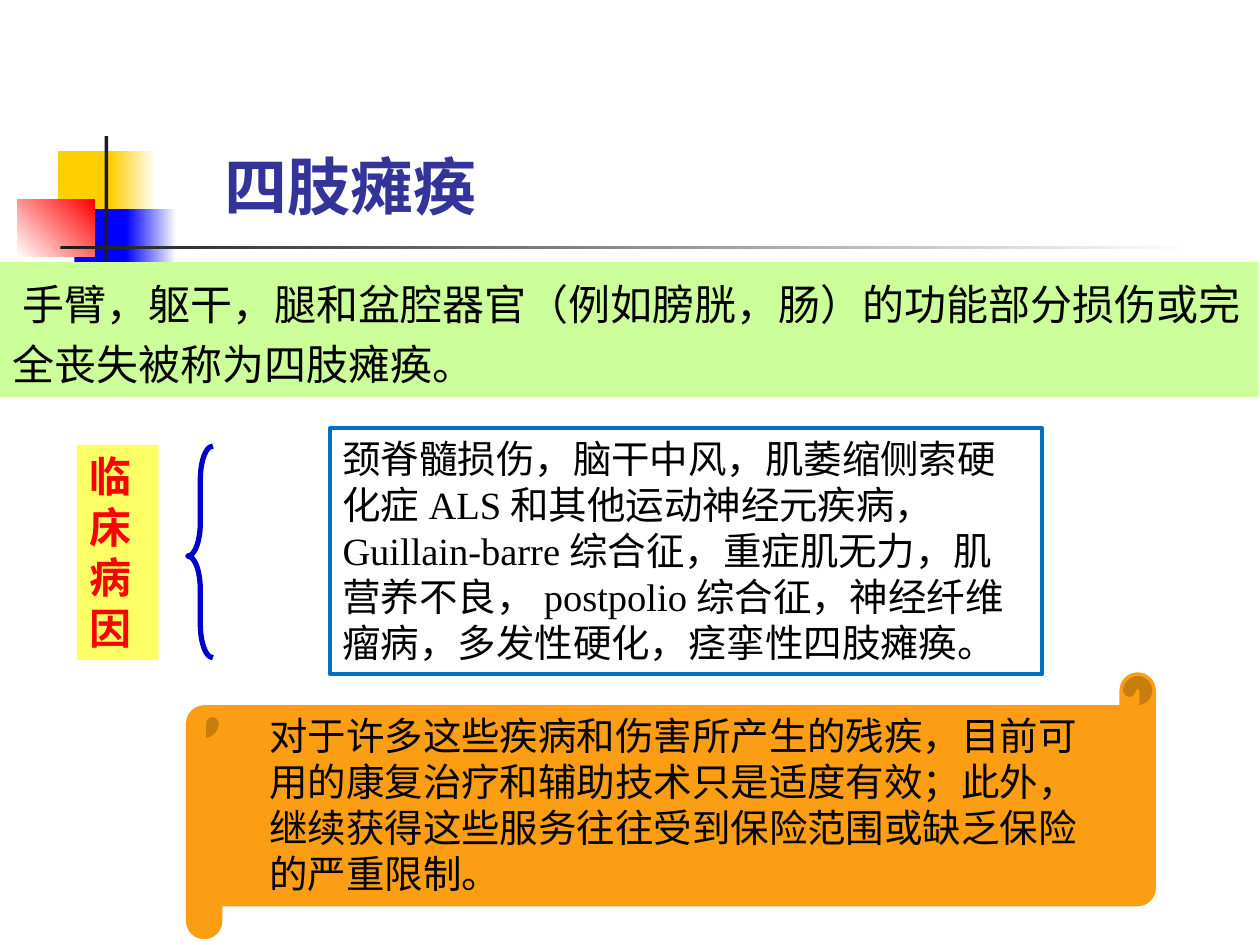
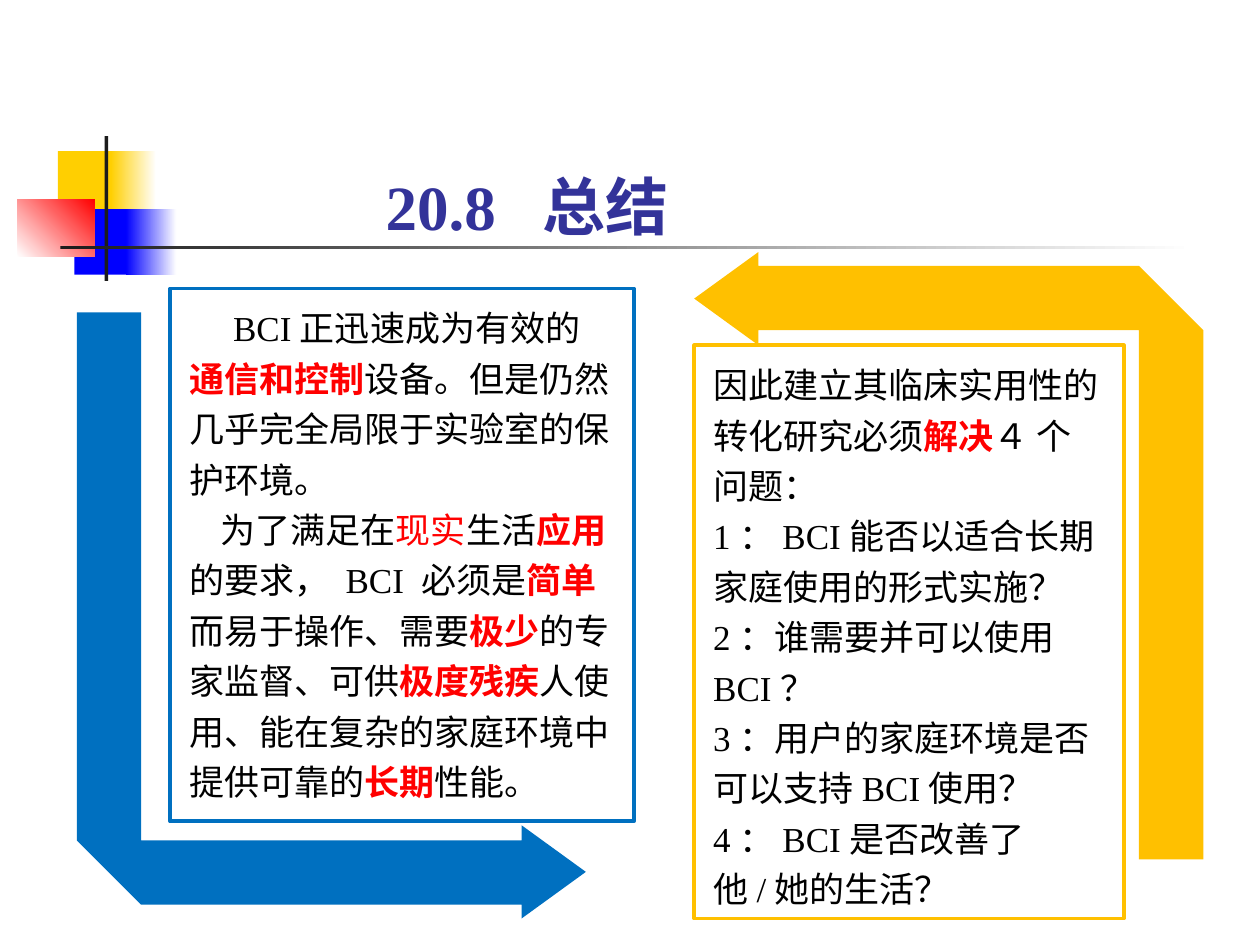
from pptx import Presentation
from pptx import util as u
from pptx.dml import color
from pptx.enum import shapes as kinds, text as modes
from pptx.oxml import ns, xmlchemy as xml

SERIF, SANS = "Times New Roman", "Noto Sans CJK SC"
BLACK, WHITE, RED, NAVY = "000000", "FFFFFF", "FF0000", "333399"
BLUE, GOLD, DARK = "0070C0", "FFC000", "1C1C1C"
KIND = kinds.MSO_SHAPE


def rgb(code):
    return color.RGBColor.from_string(code)


def inch(*sizes):
    return [u.Inches(size) for size in sizes]


# Shared drawing and text helpers
def paint(shape, fill=None, line=None, width=2.25):
    shape.shadow.inherit = False
    if fill:
        shape.fill.solid()
        shape.fill.fore_color.rgb = rgb(fill)
    else:
        shape.fill.background()
    if line:
        shape.line.color.rgb = rgb(line)
        shape.line.width = u.Pt(width)
    else:
        shape.line.fill.background()
    return shape


def draw(slide, box, kind=KIND.RECTANGLE, **look):
    return paint(slide.shapes.add_shape(kind, *inch(*box)), **look)


def fade(shape, start, end, angle=0):
    shape.fill.gradient()
    shape.fill.gradient_angle = angle
    for stop, code in zip(shape.fill.gradient_stops, (start, end)):
        stop.color.rgb = rgb(code)


def write(shape, paras, size, font=SERIF, ink=BLACK, bold=False, space=None,
          indents=(), pad=(0.1, 0.05), anchor=modes.MSO_ANCHOR.TOP):
    """Each paragraph is a list of strings and (red text, bold) pairs."""
    frame = shape.text_frame
    frame.word_wrap = True
    frame.auto_size = modes.MSO_AUTO_SIZE.NONE
    frame.vertical_anchor = anchor
    frame.margin_left = frame.margin_right = u.Inches(pad[0])
    frame.margin_top = frame.margin_bottom = u.Inches(pad[1])
    for i, parts in enumerate(paras):
        para = frame.add_paragraph() if i else frame.paragraphs[0]
        para.alignment = modes.PP_ALIGN.LEFT
        para.line_spacing = space
        para.font.name, para.font.size = font, u.Pt(size)
        para.font.bold, para.font.color.rgb = bold, rgb(ink)
        for part in parts:
            run = para.add_run()
            if isinstance(part, tuple):
                run.text, run.font.bold = part
                run.font.color.rgb = rgb(RED)
            else:
                run.text = part
        if i < len(indents):
            props = para._p.get_or_add_pPr()
            props.set("marL", "0")
            props.set("indent", str(u.Inches(indents[i])))
    return frame


def set_cjk(slide):
    """Give Chinese characters their own typeface."""
    for latin in list(slide.element.iter(ns.qn("a:latin"))):
        east = xml.OxmlElement("a:ea")
        east.set("typeface", SANS)
        latin.addnext(east)


def add_title(slide, box, words, font, space=None):
    title = slide.shapes.title
    title.left, title.top, title.width, title.height = inch(*box)
    write(title, [[words]], 36, font, NAVY, True, space,
          anchor=modes.MSO_ANCHOR.BOTTOM)


# Corner squares and rules, kept in the layout
def add_motif(slide, layout):
    parts = [
        ((0.46, 1.2, 0.48, 0.52), "FFCF01", None, 0),
        ((0.88, 1.2, 0.36, 0.52), "FFCF01", WHITE, 0),
        ((0.59, 1.66, 0.46, 0.52), "0000FF", None, 0),
        ((1, 1.66, 0.4, 0.52), "0000FF", WHITE, 0),
        ((0.14, 1.58, 0.61, 0.46), WHITE, RED, 45),
        ((0.83, 1.08, 0.03, 1.15), DARK, None, 0),
        ((0.48, 1.95, 9, 0.03), DARK, WHITE, 0),
    ]
    for box, start, end, angle in parts:
        shape = draw(slide, box, fill=start)
        if end:
            fade(shape, start, end, angle)
        layout.shapes.element.append(shape.element)


# Slide 1 regions
def add_band(slide, box):
    band = draw(slide, box, fill="CCFF99")
    frame = write(band, [["手臂，躯干，腿和盆腔器官（例如膀胱，肠）的功能部分损伤或完全丧失"
                          "被称为四肢瘫痪。"]], 24, SANS, space=1.2, indents=[0.08])
    frame.paragraphs[0].space_before = u.Pt(4.8)


def add_causes(slide, box):
    x, y, w, h = box
    label = draw(slide, (x, y + 0.13, 0.65, 1.71), fill="FFFF66")
    write(label, [["临床病因"]], 24, ink=RED, bold=True)
    brace = draw(slide, (x + 0.88, y + 0.14, 0.2, 1.68), KIND.LEFT_BRACE,
                 line="0000CC", width=3)
    brace.adjustments[0], brace.adjustments[1] = 1.33, 0.52
    causes = draw(slide, (x + 2.01, y, w - 2.01, h), line=BLUE)
    write(causes, [["颈脊髓损伤，脑干中风，肌萎缩侧索硬化症ALS和其他运动神经元疾病，"
                    "Guillain-barre综合征，重症肌无力，肌营养不良，postpolio综合征，"
                    "神经纤维瘤病，多发性硬化，痉挛性四肢瘫痪。"]], 22)


def add_scroll(slide, box):
    x, y, w, h = box
    draw(slide, box, KIND.HORIZONTAL_SCROLL, fill="FB9E13", line="FB9E13", width=2)
    note = slide.shapes.add_textbox(*inch(x + 0.55, y + 0.25, w - 0.84, h - 0.51))
    write(note, [["对于许多这些疾病和伤害所产生的残疾，目前可用的康复治疗和辅助技术只是"
                  "适度有效；此外，继续获得这些服务往往受到保险范围或缺乏保险的严重限制。"]],
          22, SANS)


# Slide 2 regions
def add_bend(slide, box, fill, turn=False):
    """Bent arrow running down, then right; turn rotates it half a circle."""
    x, y, w, h = box
    bar, tip, gap = 0.51, 0.37, 0.11
    neck, top, low = w - bar, h - gap - bar, h - gap
    points = [(0, 0), (bar, 0), (bar, top), (neck, top), (neck, h - 2 * tip),
              (w, h - tip), (neck, h), (neck, low), (bar, low), (0, top)]
    if turn:
        points = [(w - a, h - b) for a, b in points]
    points = [inch(x + a, y + b) for a, b in points]
    pen = slide.shapes.build_freeform(*points[0])
    pen.add_line_segments(points[1:], close=True)
    paint(pen.convert_to_shape(), fill)


def add_panel(slide, box, line, paras, indents=()):
    write(draw(slide, box, line=line), paras, 20, space=1.2,
          indents=indents, pad=(0.15, 0.08))


STATUS = [
    ["BCI正迅速成为有效的", ("通信和控制", True),
     "设备。但是仍然几乎完全局限于实验室的保护环境。"],
    ["为了满足在", ("现实", False), "生活", ("应用", True), "的要求， BCI 必须是",
     ("简单", True), "而易于操作、需要", ("极少", True), "的专家监督、可供",
     ("极度残疾", True), "人使用、能在复杂的家庭环境中提供可靠的",
     ("长期", True), "性能。"],
]
ISSUES = [
    ["因此建立其临床实用性的转化研究必须", ("解决", True), "４ 个问题："],
    ["1：BCI能否以适合长期家庭使用的形式实施？"],
    ["2：谁需要并可以使用BCI？"],
    ["3：用户的家庭环境是否可以支持BCI使用？"],
    ["4：BCI是否改善了他/她的生活？"],
]


def build_palsy(slide):
    add_title(slide, (1.68, 0.22, 4.32, 1.6), "四肢瘫痪", SANS)
    add_band(slide, (0, 2.08, 9.99, 1.07))
    add_causes(slide, (0.61, 3.4, 7.66, 1.95))
    add_scroll(slide, (1.49, 5.35, 7.67, 2.09))


def build_summary(slide):
    add_title(slide, (2.96, 0.51, 2.46, 1.47), "20.8  总结", SERIF, 1.25)
    add_bend(slide, (0.61, 2.48, 4.04, 4.81), BLUE)
    add_bend(slide, (5.51, 2, 4.04, 4.82), GOLD, turn=True)
    add_panel(slide, (1.35, 2.29, 3.68, 4.23), BLUE, STATUS, (0.35, 0.25))
    add_panel(slide, (5.51, 2.74, 3.41, 4.55), GOLD, ISSUES)


def main():
    deck = Presentation()
    deck.slide_width, deck.slide_height = inch(10, 7.5)
    layout = deck.slide_layouts[5]
    for i, build in enumerate((build_palsy, build_summary)):
        slide = deck.slides.add_slide(layout)
        if i == 0:
            add_motif(slide, layout)
        build(slide)
        set_cjk(slide)
    deck.save("out.pptx")


if __name__ == "__main__":
    main()
